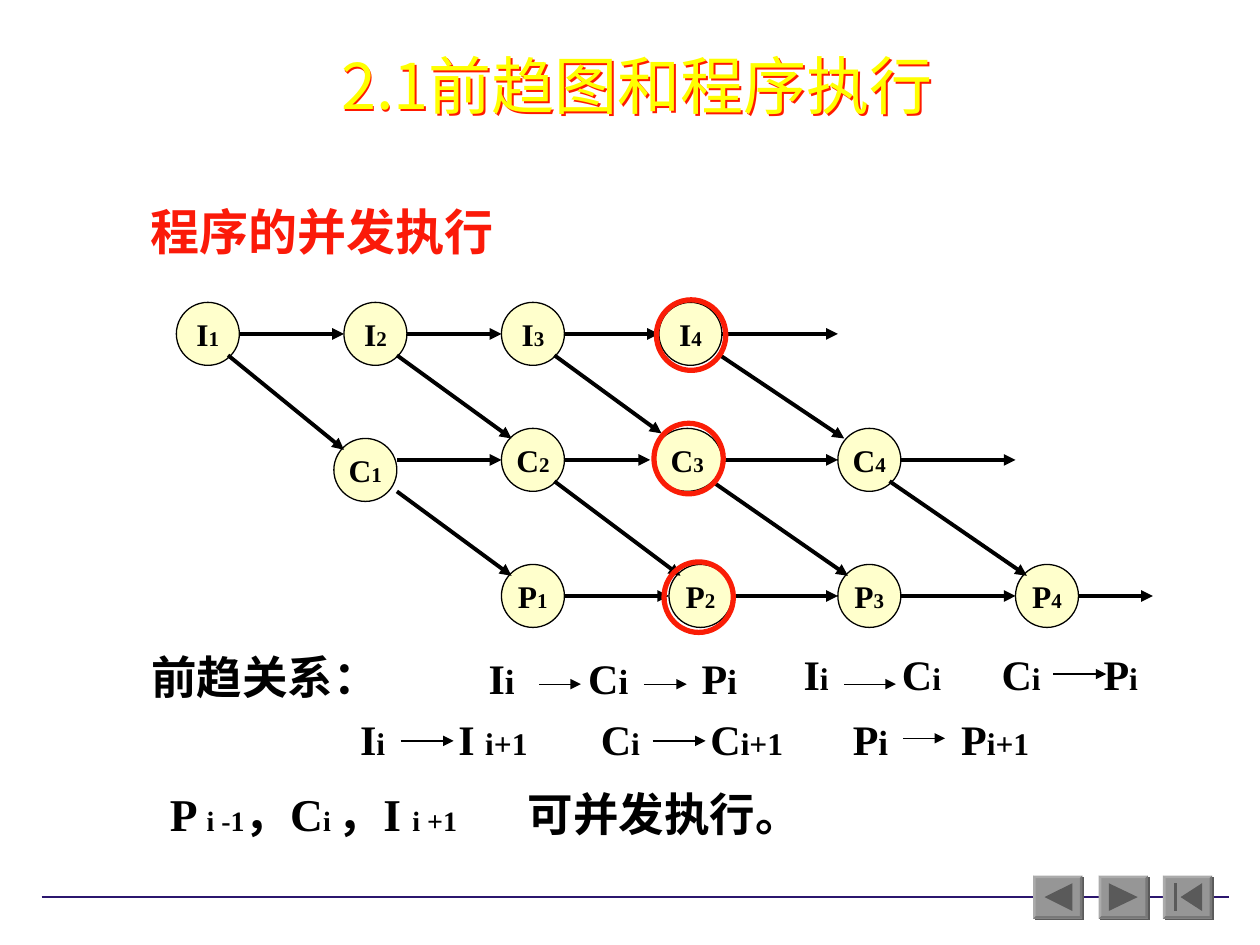
from lxml import etree
from pptx import Presentation
from pptx.dml.color import RGBColor
from pptx.enum.shapes import MSO_CONNECTOR, MSO_SHAPE
from pptx.enum.text import MSO_ANCHOR, PP_ALIGN
from pptx.oxml.ns import qn
from pptx.util import Inches, Pt

STRAIGHT, OVAL = MSO_CONNECTOR.STRAIGHT, MSO_SHAPE.OVAL
MIDDLE, LEFT, CENTER = MSO_ANCHOR.MIDDLE, PP_ALIGN.LEFT, PP_ALIGN.CENTER
SERIF, SANS, TITLE_FONT = "Times New Roman", "Noto Sans CJK SC", "Noto Sans CJK JP"
COLORS = {
    "ink": "000000", "node": "FFFFCC", "ring": "FA1D06", "heading": "FB1A09",
    "title": "FFFF00", "title_shadow": "FF1A00", "rule": "2B166E",
    "face": "969696", "light": "ABABAB", "dark": "787878", "icon": "5A5A5A",
}
NODE_SIZE = 0.5
NODE_ROWS = {
    "I": [(1.4, 2.4), (2.73, 2.4), (3.98, 2.4), (5.23, 2.4)],
    "C": [(2.65, 3.48), (3.98, 3.4), (5.18, 3.4), (6.65, 3.4)],
    "P": [(3.98, 4.48), (5.31, 4.48), (6.65, 4.48), (8.06, 4.48)],
}
ROW_ARROWS = {
    2.65: [(1.9, 2.73), (3.23, 3.98), (4.48, 5.23), (5.73, 6.65)],
    3.65: [(3.15, 3.98), (4.48, 5.16), (5.73, 6.65), (7.15, 8.06)],
    4.73: [(4.48, 5.31), (5.81, 6.65), (7.15, 8.06), (8.56, 9.15)],
}
DIAGONALS = [
    (1.81, 2.82, 2.73, 3.57), (3.15, 2.82, 4.06, 3.48),
    (4.4, 2.82, 5.25, 3.44), (5.7, 2.81, 6.7, 3.48),
    (3.15, 3.9, 4.06, 4.57), (4.4, 3.82, 5.4, 4.57),
    (5.65, 3.82, 6.73, 4.57), (7.06, 3.82, 8.15, 4.57),
]
RINGS = [(5.21, 2.38), (5.27, 4.46), (5.19, 3.36)]
FORMULA_ARROWS = {
    5.43: [(4.28, 4.61), (5.11, 5.45), (6.7, 7.11)],
    5.35: [(8.36, 8.78)],
    5.88: [(3.18, 3.6), (5.18, 5.6)],
    5.86: [(7.17, 7.5)],
}
FORMULAS = [
    (3.78, 5.13, 2.31, [0.79, 1.69],
     [("I", 24), ("i", 20), ("\tC", 24), ("i", 20), ("\tP", 24), ("i", 20)]),
    (6.28, 5.1, 3.08, [0.78, 1.57, 2.38],
     [("I", 24), ("i", 18), ("\tC", 24), ("i", 18), ("\tC", 24), ("i", 18),
      ("\tP", 24), ("i", 18)]),
    (2.76, 5.61, 1.53, [0.78], [("I", 24), ("i", 18), ("\tI ", 24), ("i+1", 18)]),
    (4.67, 5.61, 1.65, [0.87], [("C", 24), ("i", 18), ("\tC", 24), ("i+1", 18)]),
    (6.67, 5.61, 1.65, [0.86], [("P", 24), ("i", 20), ("\tP", 24), ("i+1", 18)]),
    (1.25, 6.19, 6.47, [2.84],
     [("P ", 26), ("i -1", 16), ("，C", 26), ("i ", 16), ("，I ", 26),
      ("i +1", 16), ("\t可并发执行。", 26)]),
]
BUTTON_W, BUTTON_H, BEVEL = 0.39, 0.34, 0.02
BUTTONS = {
    8.2: [[(0.09, 0.17), (0.31, 0.28), (0.31, 0.06)]],
    8.72: [[(0.08, 0.06), (0.31, 0.17), (0.08, 0.28)]],
    9.23: [[(0.14, 0.17), (0.31, 0.06), (0.31, 0.28)],
           [(0.09, 0.06), (0.11, 0.06), (0.11, 0.28), (0.09, 0.28)]],
}


def rgb(name):
    """Return the named colour."""
    return RGBColor.from_string(COLORS[name])


def add_runs(p, runs, color="ink", font=SERIF, bold=True):
    """Append (text, size) runs with Latin and East Asian fonts."""
    for text, size in runs:
        r = p.add_run()
        r.text = text
        r.font.size = Pt(size)
        r.font.bold = bold
        r.font.name = font
        r.font.color.rgb = rgb(color)
        ea = etree.SubElement(r.font._element, qn("a:ea"))
        ea.set("typeface", SANS if font == SERIF else font)


def add_text(s, x, y, w, h, runs, tabs=(), align=LEFT, **style):
    """Add a one-paragraph text box with optional tab stops in inches."""
    box = s.shapes.add_textbox(Inches(x), Inches(y), Inches(w), Inches(h))
    tf = box.text_frame
    tf.word_wrap = True
    tf.margin_right = 0 if tabs else Inches(0.1)
    p = tf.paragraphs[0]
    p.alignment = align
    if tabs:
        tab_list = etree.SubElement(p._p.get_or_add_pPr(), qn("a:tabLst"))
        for pos in tabs:
            etree.SubElement(tab_list, qn("a:tab"), pos=str(Inches(pos)), algn="l")
    add_runs(p, runs, **style)
    return box


def add_shadow(shape, color):
    """Give a shape a hard shadow down and to the right."""
    shape.shadow.inherit = False
    effects = shape._element.spPr.find(qn("a:effectLst"))
    shadow = etree.SubElement(effects, qn("a:outerShdw"), dist=str(Pt(1.4)), dir="2700000")
    etree.SubElement(shadow, qn("a:srgbClr"), val=COLORS[color])


def add_line(s, x1, y1, x2, y2, width, color="ink", arrow=True):
    """Add a straight line, with an arrowhead at its end by default."""
    line = s.shapes.add_connector(STRAIGHT, Inches(x1), Inches(y1), Inches(x2), Inches(y2))
    line.line.width = Pt(width)
    line.line.color.rgb = rgb(color)
    if arrow:
        etree.SubElement(line.line._get_or_add_ln(), qn("a:tailEnd"), type="triangle")
    etree.SubElement(line._element.spPr, qn("a:effectLst"))


def add_row_arrows(s, rows, width):
    """Add horizontal arrows grouped by height."""
    for y, spans in rows.items():
        for x1, x2 in spans:
            add_line(s, x1, y, x2, y, width)


def add_oval(s, x, y, w, h, line, width, fill=None):
    """Add an outlined oval, filled if a colour is named."""
    oval = s.shapes.add_shape(OVAL, Inches(x), Inches(y), Inches(w), Inches(h))
    oval.shadow.inherit = False
    oval.line.color.rgb = rgb(line)
    oval.line.width = Pt(width)
    if fill:
        oval.fill.solid()
        oval.fill.fore_color.rgb = rgb(fill)
    else:
        oval.fill.background()
    return oval


def add_node(s, x, y, letter, number):
    """Add a task circle with its numbered letter."""
    width = 0.55 if (letter, number) == ("C", 3) else NODE_SIZE
    tf = add_oval(s, x, y, width, NODE_SIZE, "ink", 0.75, "node").text_frame
    tf.word_wrap = False
    tf.vertical_anchor = MIDDLE
    p = tf.paragraphs[0]
    p.alignment = CENTER
    add_runs(p, [(letter, 18), (str(number), 12)])


def add_polygon(s, x, y, points, color):
    """Add a filled polygon with points relative to x, y."""
    pts = [(Inches(x + dx), Inches(y + dy)) for dx, dy in points]
    builder = s.shapes.build_freeform(*pts[0])
    builder.add_line_segments(pts[1:], close=True)
    shape = builder.convert_to_shape()
    shape.shadow.inherit = False
    shape.fill.solid()
    shape.fill.fore_color.rgb = rgb(color)
    shape.line.fill.background()
    return shape


def add_button(s, x, y, icons):
    """Add a bevelled navigation button."""
    w, h, b = BUTTON_W, BUTTON_H, BEVEL
    outer = [(0, 0), (w, 0), (w, h), (0, h)]
    inner = [(b, b), (w - b, b), (w - b, h - b), (b, h - b)]
    add_shadow(add_polygon(s, x, y, outer, "face"), "icon")
    for i, color in enumerate(["light", "dark", "dark", "light"]):
        j = (i + 1) % 4
        add_polygon(s, x, y, [outer[i], outer[j], inner[j], inner[i]], color)
    for icon in icons:
        add_polygon(s, x, y, icon, "icon")


def main():
    """Build the slide and save it."""
    prs = Presentation()
    prs.slide_width, prs.slide_height = Inches(10), Inches(7.5)
    s = prs.slides.add_slide(prs.slide_layouts[6])
    add_line(s, 0.33, 7.12, 9.75, 7.12, 0.75, "rule", arrow=False)
    for x, icons in BUTTONS.items():
        add_button(s, x, 6.95, icons)
    title = add_text(s, 1.65, 0.32, 6.81, 0.7, [("2.1前趋图和程序执行", 36)],
                     align=CENTER, color="title", font=TITLE_FONT, bold=False)
    add_shadow(title, "title_shadow")
    add_text(s, 1.1, 1.55, 4.57, 0.57, [("程序的并发执行", 28)], color="heading", font=SANS)
    for letter, places in NODE_ROWS.items():
        for number, (x, y) in enumerate(places, 1):
            add_node(s, x, y, letter, number)
    add_row_arrows(s, ROW_ARROWS, 2.25)
    for ends in DIAGONALS:
        add_line(s, *ends, 2.25)
    for x, y in RINGS:
        add_oval(s, x, y, 0.55, 0.56, "ring", 3)
    add_text(s, 1.1, 5.1, 2.31, 0.54, [("前趋关系：", 26)])
    for x, y, w, tabs, runs in FORMULAS:
        add_text(s, x, y, w, 0.5, runs, tabs)
    add_row_arrows(s, FORMULA_ARROWS, 0.75)
    prs.save("out.pptx")


if __name__ == "__main__":
    main()
